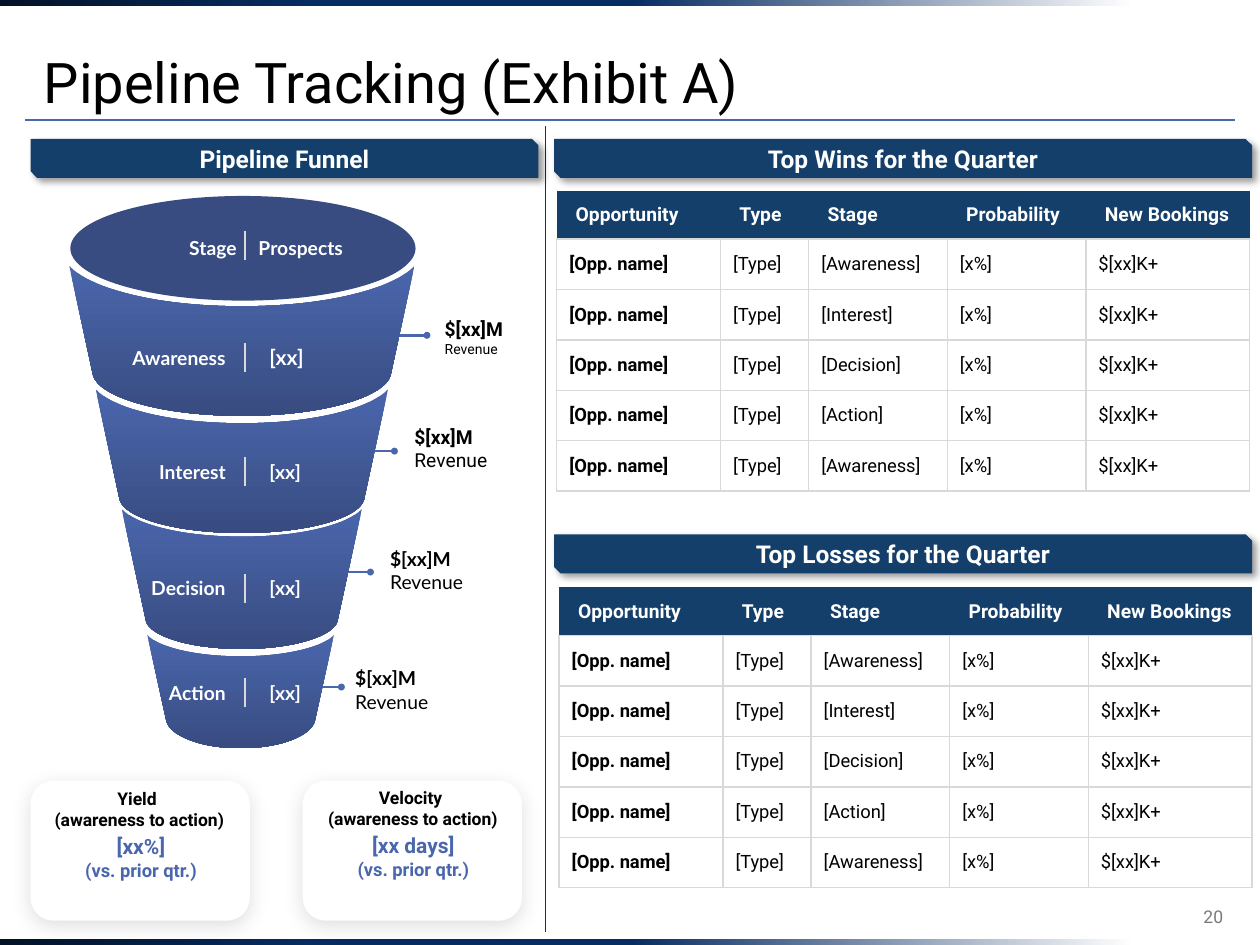
from pptx import Presentation
from pptx import oxml
from pptx.dml import color as dml
from pptx.enum import shapes, text
from pptx.oxml import ns
from pptx.util import Pt

COLORS = {
    "white": "FFFFFF", "black": "000000", "night": "031227", "navy": "072C62",
    "header": "143F6A", "accent": "4A66AC", "deep": "384C81", "divide": "242852",
    "grid": "D9D9D9", "number": "797979",
}
LEFT, CENTER, RIGHT = text.PP_ALIGN.LEFT, text.PP_ALIGN.CENTER, text.PP_ALIGN.RIGHT
TOP, MIDDLE, BOTTOM = text.MSO_ANCHOR.TOP, text.MSO_ANCHOR.MIDDLE, text.MSO_ANCHOR.BOTTOM
KINDS = shapes.MSO_SHAPE
WIDE, NONE = (7.2, 7.2, 7.2, 7.2), (0, 0, 0, 0)
FUNNEL_TEXT = {"size": 11, "name": "Lato", "bold": True, "color": "white"}
HEADING = {"size": 14, "bold": True, "color": "white"}
COLUMNS = {"Opportunity": 93.6, "Type": 50.4, "Stage": 79.2, "Probability": 79.2, "New Bookings": 93.6}
DEAL_STAGES = ["Awareness", "Interest", "Decision", "Action", "Awareness"]
HEADER_HEIGHT, ROW_HEIGHT = 27.4, 28.8
RIM = [(-1, 0), (-0.94, 0.28), (-0.82, 0.5), (-0.71, 0.63), (-0.52, 0.87), (-0.27, 1), (0, 1)]
BOWL = [(-1, 0), (-0.96, 0.52), (-0.56, 1), (0, 1)]


def rgb(name):
    return dml.RGBColor.from_string(COLORS[name])


def add_xml(parent, markup):
    element = oxml.parse_xml(markup.replace(">", f" {ns.nsdecls('a')}>", 1))
    parent.append(element)
    return element


def gradient_fill(shape, stops, angle):
    shape.fill.gradient()
    gradient = shape.fill._fill._gradFill
    for child in list(gradient):
        gradient.remove(child)
    markup = "".join(
        f'<a:gs pos="{place * 1000}"><a:srgbClr val="{COLORS[name]}"/></a:gs>' for place, name in stops)
    add_xml(gradient, f"<a:gsLst>{markup}</a:gsLst>")
    add_xml(gradient, f'<a:lin ang="{angle * 60000}" scaled="0"></a:lin>')


def write(frame, paragraphs, align=LEFT, anchor=MIDDLE, insets=(7.2, 3.6, 7.2, 3.6), spacing=None, **base):
    sides = ("margin_left", "margin_top", "margin_right", "margin_bottom")
    for key, value in zip(sides, insets):
        setattr(frame, key, Pt(value))
    frame.word_wrap, frame.vertical_anchor = True, anchor
    for index, runs in enumerate(paragraphs):
        paragraph = frame.add_paragraph() if index else frame.paragraphs[0]
        paragraph.alignment, paragraph.line_spacing = align, spacing
        for content, changes in runs:
            style = {"name": "Roboto", "size": 11, "bold": False, "color": "black"} | base | changes
            run = paragraph.add_run()
            run.text = content
            run.font.color.rgb = rgb(style.pop("color"))
            style["size"] = Pt(style["size"])
            for key, value in style.items():
                setattr(run.font, key, value)


def add_text(slide, box, paragraphs, **options):
    write(slide.shapes.add_textbox(*map(Pt, box)).text_frame, paragraphs, **options)


def add_label(slide, box, paragraphs, **options):
    label = add_box(slide, KINDS.ROUNDED_RECTANGLE, box)
    write(label.text_frame, paragraphs, **options)


def add_line(slide, start, end, color, width, oval_end=False):
    line = slide.shapes.add_connector(shapes.MSO_CONNECTOR.STRAIGHT, *map(Pt, start + end))
    line.line.color.rgb, line.line.width = rgb(color), Pt(width)
    if oval_end:
        add_xml(line.line._get_or_add_ln(), '<a:tailEnd type="oval" w="sm" len="sm"></a:tailEnd>')
    add_xml(line._element.spPr, "<a:effectLst></a:effectLst>")


def add_box(slide, kind, box, fill=None, shadow=None):
    shape = slide.shapes.add_shape(kind, *map(Pt, box))
    shape.shadow.inherit = False
    shape.line.fill.background()
    if fill:
        shape.fill.solid()
        shape.fill.fore_color.rgb = rgb(fill)
    else:
        shape.fill.background()
    if shadow:
        alpha, blur, distance, angle = shadow
        add_xml(
            shape._element.spPr.find(ns.qn("a:effectLst")),
            f'<a:outerShdw blurRad="{Pt(blur)}" dist="{Pt(distance)}" dir="{angle * 60000}" rotWithShape="0">'
            f'<a:srgbClr val="{COLORS["black"]}"><a:alpha val="{alpha * 1000}"/></a:srgbClr></a:outerShdw>')
    return shape


def add_frame(slide, width, height):
    add_line(slide, (14.4, 68.5), (width - 14.4, 68.5), "accent", 1.5)
    for top in (0, height - 3.6):
        bar = add_box(slide, KINDS.RECTANGLE, (0, top, width, 3.6), "navy")
        gradient_fill(bar, [(0, "night"), (25, "navy"), (50, "navy"), (90, "white")], 0)
    add_text(slide, (17.9, 17.3, 684.7, 52.6), [[("Pipeline Tracking (Exhibit A)", {})]],
             anchor=BOTTOM, spacing=0.9, size=32)
    add_text(slide, (587.9, 509.5, 118.1, 28.8), [[("20", {})]], align=RIGHT, size=10, color="number")
    add_line(slide, (311.8, 72), (311.8, 532.8), "divide", 1)


def add_banner(slide, left, top, width, title):
    banner = add_box(slide, KINDS.SNIP_2_DIAG_RECTANGLE, (left, top, width, 22.3), "header", (40, 4, 3, 45))
    write(banner.text_frame, [[(title, HEADING)]], align=CENTER)


def curve_through(half, center, top, half_width, sag):
    whole = half + [(-x, y) for x, y in half[-2::-1]]
    return [((center + x * half_width) * 100, (top + y * sag) * 100) for x, y in whole]


def bend(path, first, count):
    for group in range(count):
        corners = path[first + group:first + group + 3]
        curve = add_xml(path, "<a:cubicBezTo></a:cubicBezTo>")
        path.insert(first + group, curve)
        for corner in corners:
            curve.append(corner[0])
            path.remove(corner)


def add_band(slide, center, top, upper, lower):
    rim = curve_through(RIM, center, top + upper[0], *upper[1:])[::-1]
    bowl = curve_through(BOWL, center, top + lower[0], *lower[1:])
    builder = slide.shapes.build_freeform(*rim[0], scale=Pt(1) / 100)
    builder.add_line_segments(rim[1:] + bowl, close=True)
    band = builder.convert_to_shape()
    outline = band._element.spPr.find(".//" + ns.qn("a:moveTo")).getparent()
    bend(outline, 1, 4)
    bend(outline, 6, 2)
    band.shadow.inherit = False
    band.line.fill.background()
    gradient_fill(band, [(0, "accent"), (100, "deep")], 90)


def add_funnel(slide, left, top):
    strong = {"bold": True}
    two_lines = [[("$[xx]M", strong)], [("Revenue", {})]]
    small_line = [[("$[xx]M", strong)], [("Revenue", {"size": 8})]]
    one_line = [[("$[xx]M ", strong), ("Revenue", {})]]
    bands = [
        (99.2, (39.9, 98.6, 23.1), (102.6, 85, 23)),
        (99.2, (110.5, 83.5, 19.4), (173.8, 69.8, 18.8)),
        (99.2, (178.9, 68.6, 15.8), (243, 54.7, 15.8)),
        (98.5, (250.9, 53.3, 12.2), (299.8, 42.5, 15.8)),
    ]
    stems = [(174.8, 205, 79.6), (161.2, 186.4, 145.8), (149.6, 172.7, 214.9), (133.1, 156.1, 280.6)]
    revenues = [
        (205.8, 80.6, 71.3, small_line, "Roboto"), (188.5, 144, 88.6, two_lines, "Roboto"),
        (154.7, 282.2, 69.1, two_lines, "Lato"), (174.6, 213.8, 70.6, one_line, "Lato"),
    ]
    stages = [
        ("Awareness", 92.3, 73.4, 31.7, 12), ("Interest", 157.7, 54.7, 31.7, 11),
        ("Decision", 224.1, 72, 32.4, 11), ("Action", 283.9, 52.6, 24.5, 11),
    ]
    for start, end, middle in stems:
        add_line(slide, (left + start, top + middle), (left + end, top + middle), "accent", 1.5, True)
    for center, upper, lower in bands:
        add_band(slide, left + center, top, upper, lower)
    add_box(slide, KINDS.OVAL, (left + 1.2, top, 197.3, 59.8), "deep")
    for offset, middle, width, paragraphs, font in revenues:
        add_label(slide, (left + offset, top + middle - 22.7, width, 45.4), paragraphs,
                  insets=WIDE, name=font)
    for name, middle, width, height, size in stages:
        add_text(slide, (left + 97.1 - width, top + middle - 10.4, width, 20.9), [[(name, {})]],
                 align=RIGHT, **FUNNEL_TEXT)
        add_text(slide, (left + 107.9, top + middle - height / 2, 44.6, height), [[("[xx]", {})]],
                 insets=WIDE, **(FUNNEL_TEXT | {"size": size}))
    add_label(slide, (left + 107.9, top + 20.9, 55.4, 18), [[("Prospects", {})]], insets=NONE, **FUNNEL_TEXT)
    add_label(slide, (left + 37.3, top + 21.6, 59.8, 15.8), [[("Stage", {})]],
              align=RIGHT, insets=NONE, **FUNNEL_TEXT)
    for middle in (28.1, 92.3, 157.7, 224.1, 283.9):
        add_line(slide, (left + 101.1, top + middle + 8.3), (left + 101.1, top + middle - 8.3), "grid", 1)


def add_card(slide, left, top, title, value, title_box, value_box):
    add_box(slide, KINDS.ROUNDED_RECTANGLE, (left, top, 125.3, 79.9), "white", (12, 12, 3, 90))
    for box, paragraphs, adder, options in (
        (title_box, [[(title, {})], [("(awareness to action)", {})]], add_label,
         {"insets": NONE, "size": 10}),
        (value_box, [[(value, {"size": 12})], [("(vs. prior qtr.)", {})]], add_text,
         {"anchor": TOP, "size": 10.5, "color": "accent"}),
    ):
        x, y, width, height = box
        adder(slide, (left + x, top + y, width, height), paragraphs, align=CENTER, bold=True, **options)


def border(cell, visible):
    properties = cell._tc.get_or_add_tcPr()
    for side in "LRTB":
        fill = f'<a:solidFill><a:srgbClr val="{COLORS["grid"]}"/></a:solidFill>'
        add_xml(properties, f'<a:ln{side} w="{Pt(1)}">{fill if side in visible else "<a:noFill/>"}</a:ln{side}>')


def add_deals(slide, left, top):
    rows = [list(COLUMNS)] + [
        ["[Opp. name]", "[Type]", f"[{stage}]", "[x%]", "$[xx]K+"] for stage in DEAL_STAGES]
    heights = [HEADER_HEIGHT] + [ROW_HEIGHT] * len(DEAL_STAGES)
    box = map(Pt, (left, top, sum(COLUMNS.values()), sum(heights)))
    table = slide.shapes.add_table(len(rows), len(COLUMNS), *box).table
    table.first_row = table.horz_banding = False
    for column, width in zip(table.columns, COLUMNS.values()):
        column.width = Pt(width)
    for index, (row, height) in enumerate(zip(table.rows, heights)):
        row.height = Pt(height)
        for position, cell in enumerate(row.cells):
            border(cell, "LRTB" if index else "B")
            content = [[(rows[index][position], {})]]
            if index:
                cell.fill.background()
                write(cell.text_frame, content, size=10.5, bold=position == 0)
                margins = (7.2, 0, 0, 0)
            else:
                cell.fill.solid()
                cell.fill.fore_color.rgb = rgb("header")
                write(cell.text_frame, content, bold=True, color="white")
                margins = (10.8, 7.2, 10.8, 7.2)
            cell.vertical_anchor = MIDDLE
            for side, margin in zip(("left", "top", "right", "bottom"), margins):
                setattr(cell, f"margin_{side}", Pt(margin))


def main():
    presentation = Presentation()
    presentation.slide_width, presentation.slide_height = Pt(720), Pt(540)
    slide = presentation.slides.add_slide(presentation.slide_layouts[6])
    add_frame(slide, 720, 540)
    add_banner(slide, 17.5, 79.3, 290.2, "Pipeline Funnel")
    add_card(slide, 173, 446.2, "Velocity ", "[xx days]", (9.2, 8.1, 107.3, 15.1), (9.2, 26.1, 108, 49))
    add_card(slide, 17.5, 446.2, "Yield ", "[xx%]", (11.3, 8.1, 101.5, 15.8), (9.1, 26.8, 108, 35.3))
    add_funnel(slide, 39, 112)
    add_deals(slide, 318.1, 109)
    add_deals(slide, 319.5, 335.6)
    add_banner(slide, 316.6, 79.3, 398.9, "Top Wins for the Quarter")
    add_banner(slide, 316.6, 305.3, 398.9, "Top Losses for the Quarter")
    presentation.save("out.pptx")


if __name__ == "__main__":
    main()
